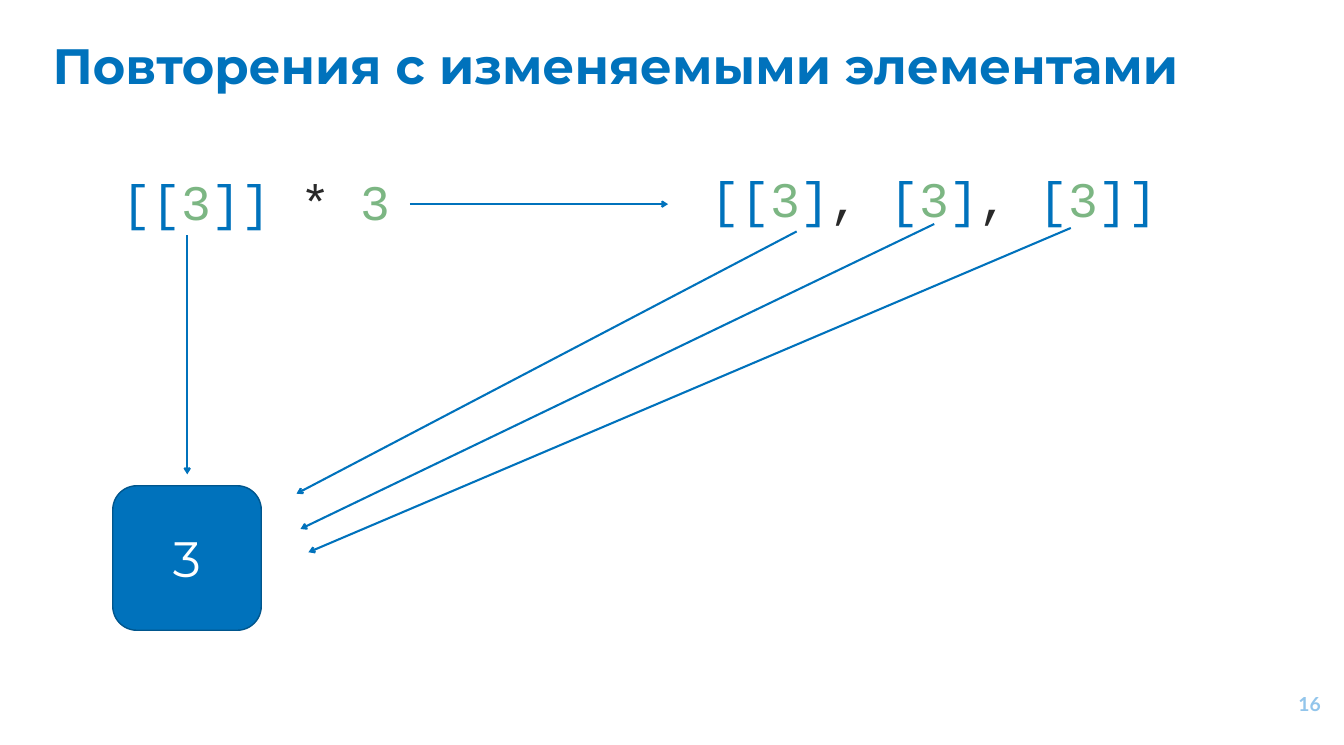
from dataclasses import dataclass
from itertools import groupby

import pptx
import pptx.dml.color
import pptx.enum.shapes
import pptx.enum.text
import pptx.oxml
import pptx.oxml.ns
import pptx.util
from pptx.util import Inches

Align = pptx.enum.text.PP_ALIGN
Anchor = pptx.enum.text.MSO_ANCHOR


@dataclass(frozen=True)
class Theme:
    blue: str = "0072BC"
    outline: str = "00568D"
    green: str = "7CB683"
    ink: str = "292929"
    pale: str = "92C5EB"
    white: str = "FFFFFF"
    heading_font: str = "Montserrat"
    code_font: str = "Courier New"
    number_font: str = "Lato"
    large: int = 72
    small: int = 28
    box_line: int = 2
    arrow_line: int = 3


@dataclass(frozen=True)
class Frame:
    left: float
    top: float
    width: float
    height: float

    def lengths(self) -> list[int]:
        return [Inches(v) for v in (self.left, self.top, self.width, self.height)]


@dataclass(frozen=True)
class Code:
    text: str
    frame: Frame
    align: Align


@dataclass(frozen=True)
class Arrow:
    start: tuple[float, float]
    end: tuple[float, float]


THEME = Theme()
EXPRESSIONS = [
    Code("[[3]] * 3", Frame(2.35, 3.4, 5.92, 1.31), Align.LEFT),
    Code("[[3], [3], [3]]", Frame(13.84, 3.33, 9.93, 1.31), Align.CENTER),
]
ARROWS = [
    Arrow((3.77, 4.74), (3.77, 9.55)),
    Arrow((16.04, 4.66), (5.97, 9.94)),
    Arrow((18.81, 4.51), (6.05, 10.65)),
    Arrow((21.56, 4.59), (6.21, 11.12)),
    Arrow((8.25, 4.11), (13.45, 4.11)),
]


def rgb(value: str) -> pptx.dml.color.RGBColor:
    return pptx.dml.color.RGBColor.from_string(value)


def style(span, font: str, size: int, color: str, bold: bool = False) -> None:
    span.font.name = font
    span.font.size = pptx.util.Pt(size)
    span.font.color.rgb = rgb(color)
    span.font.bold = bold


def fill_text(box, text: str, font: str, size: int, color: str,
              align: Align, anchor: Anchor, bold: bool = False) -> None:
    frame = box.text_frame
    frame.text = text
    frame.word_wrap = True
    frame.auto_size = pptx.enum.text.MSO_AUTO_SIZE.NONE
    frame.vertical_anchor = anchor
    frame.margin_left = frame.margin_right = Inches(0.1)
    frame.margin_top = frame.margin_bottom = Inches(0.1)
    para = frame.paragraphs[0]
    para.alignment = align
    style(para.runs[0], font, size, color, bold)


def token_color(symbol: str) -> str:
    if symbol.isdigit():
        return THEME.green
    return THEME.ink if symbol in "*," else THEME.blue


def draw_title(page, text: str, frame: Frame) -> None:
    title = page.shapes.title
    title.left, title.top, title.width, title.height = frame.lengths()
    fill_text(title, text, THEME.heading_font, THEME.large, THEME.blue,
              Align.LEFT, Anchor.TOP, bold=True)


def draw_page_number(page, text: str, frame: Frame) -> None:
    box = page.shapes.add_textbox(*frame.lengths())
    fill_text(box, text, THEME.number_font, THEME.small, THEME.pale,
              Align.RIGHT, Anchor.MIDDLE, bold=True)


def draw_code(page, code: Code) -> None:
    frame = page.shapes.add_textbox(*code.frame.lengths()).text_frame
    frame.word_wrap = True
    frame.auto_size = pptx.enum.text.MSO_AUTO_SIZE.SHAPE_TO_FIT_TEXT
    para = frame.paragraphs[0]
    para.alignment = code.align
    for color, symbols in groupby(code.text, token_color):
        span = para.add_run()
        span.text = "".join(symbols)
        style(span, THEME.code_font, THEME.large, color)


def draw_value(page, text: str, frame: Frame) -> None:
    kind = pptx.enum.shapes.MSO_SHAPE.ROUNDED_RECTANGLE
    box = page.shapes.add_shape(kind, *frame.lengths())
    box.shadow.inherit = False
    box.fill.solid()
    box.fill.fore_color.rgb = rgb(THEME.blue)
    box.line.color.rgb = rgb(THEME.outline)
    box.line.width = pptx.util.Pt(THEME.box_line)
    fill_text(box, text, THEME.heading_font, THEME.large, THEME.white,
              Align.CENTER, Anchor.MIDDLE)


def draw_arrow(page, arrow: Arrow) -> None:
    points = [Inches(v) for v in (*arrow.start, *arrow.end)]
    kind = pptx.enum.shapes.MSO_CONNECTOR.STRAIGHT
    connector = page.shapes.add_connector(kind, *points)
    connector.line.color.rgb = rgb(THEME.blue)
    connector.line.width = pptx.util.Pt(THEME.arrow_line)
    namespace = pptx.oxml.ns.nsdecls("a")
    head = pptx.oxml.parse_xml(f'<a:tailEnd {namespace} type="arrow"/>')
    connector.line._get_or_add_ln().append(head)
    effects = pptx.oxml.parse_xml(f"<a:effectLst {namespace}/>")
    connector._element.spPr.append(effects)


def main() -> None:
    deck = pptx.Presentation()
    deck.slide_width = Inches(27.06)
    deck.slide_height = Inches(15)
    page = deck.slides.add_slide(deck.slide_layouts.get_by_name("Title Only"))
    page.background.fill.solid()
    page.background.fill.fore_color.rgb = rgb(THEME.white)

    draw_title(page, "Повторения с изменяемыми элементами",
               Frame(0.96, 0.61, 24.69, 1.92))
    draw_page_number(page, "16", Frame(25.07, 13.6, 1.62, 1.15))
    for code in EXPRESSIONS:
        draw_code(page, code)
    draw_value(page, "3", Frame(2.27, 9.78, 2.99, 2.91))
    for arrow in ARROWS:
        draw_arrow(page, arrow)
    deck.save("out.pptx")


if __name__ == "__main__":
    main()
